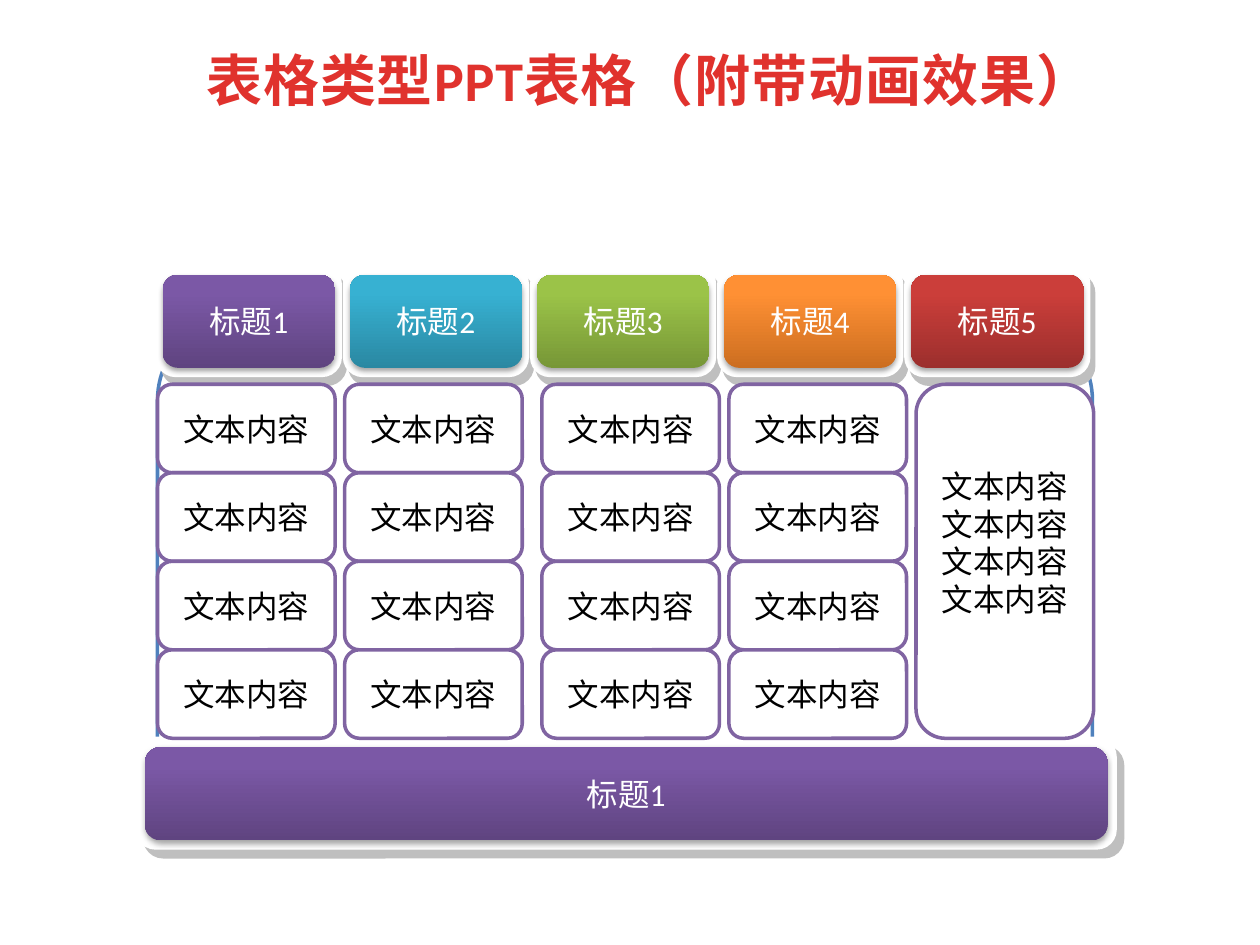
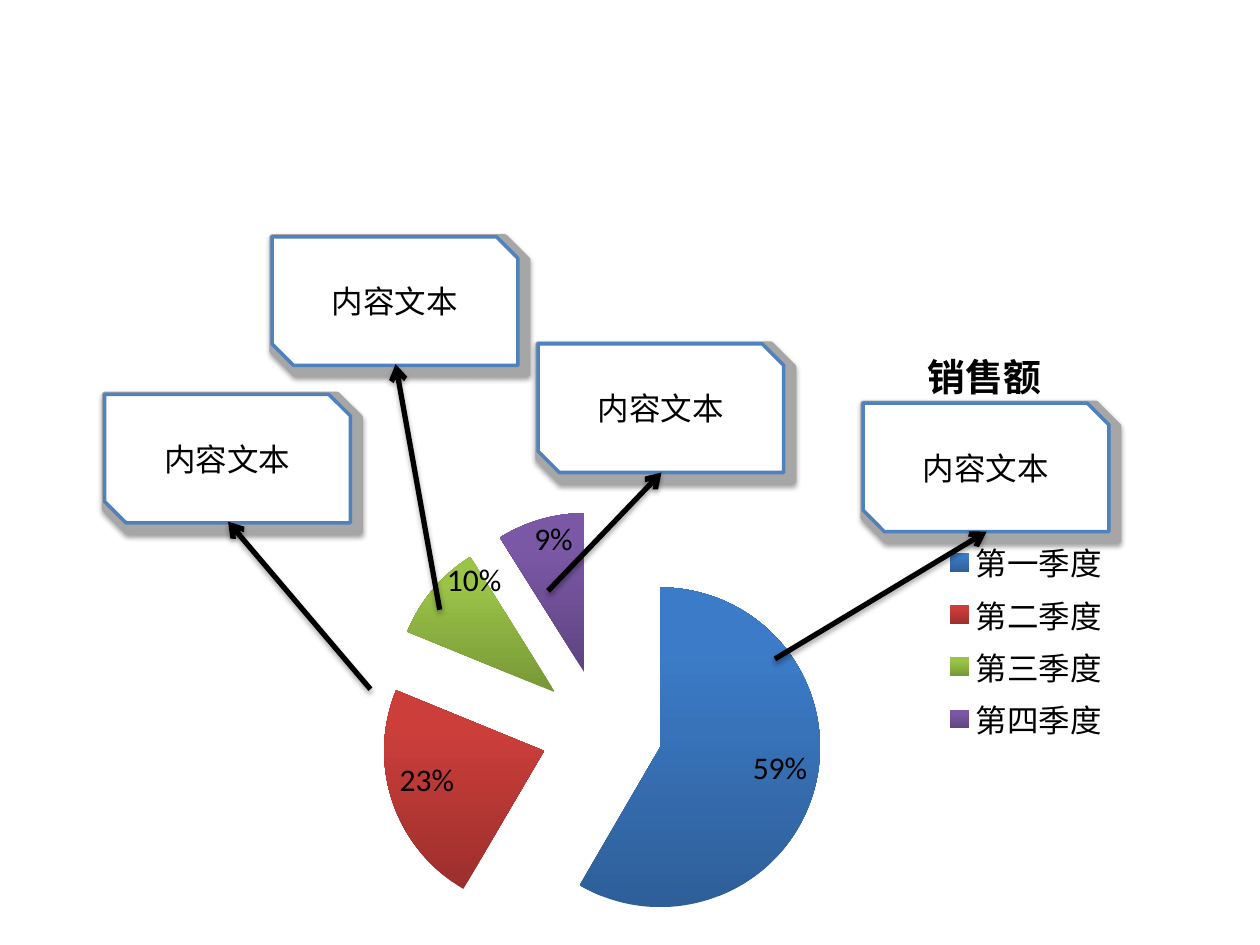
from copy import deepcopy

from lxml import etree
from pptx import Presentation
from pptx import util as u
from pptx.chart.data import CategoryChartData
from pptx.dml.color import RGBColor
from pptx.enum import chart as charts, shapes, text
from pptx.oxml import parse_xml
from pptx.oxml.ns import nsdecls, qn

FONT = "Calibri"
BODY_SIZE = u.Pt(18)

WHITE = RGBColor(0xFF, 0xFF, 0xFF)
BLACK = RGBColor(0, 0, 0)
TITLE_RED = RGBColor(0xE0, 0x32, 0x2D)
RIM_GREY = RGBColor(0xBF, 0xBF, 0xBF)
BACK_GREY = RGBColor(0xA6, 0xA6, 0xA6)
BLUE_LINE = RGBColor(0x4F, 0x81, 0xBD)
PURPLE_LINE = RGBColor(0x80, 0x64, 0xA2)

# Gradients: dark at the bottom, light at the top
BLUE = (RGBColor(0x2E, 0x5F, 0x99), RGBColor(0x3C, 0x7B, 0xC7))
RED = (RGBColor(0x9C, 0x2F, 0x2D), RGBColor(0xCB, 0x3E, 0x3A))
GREEN = (RGBColor(0x77, 0x97, 0x37), RGBColor(0x9B, 0xC3, 0x48))
PURPLE = (RGBColor(0x5F, 0x44, 0x80), RGBColor(0x7B, 0x58, 0xA6))
TEAL = (RGBColor(0x2A, 0x88, 0xA2), RGBColor(0x37, 0xB1, 0xD2))
ORANGE = (RGBColor(0xCC, 0x6E, 0x20), RGBColor(0xFF, 0x90, 0x34))

ROUND = shapes.MSO_SHAPE.ROUNDED_RECTANGLE
SNIPPED = shapes.MSO_SHAPE.SNIP_2_DIAG_RECTANGLE

TABLE_LEFT, TABLE_TOP = 1.25, 3.05
COLUMN_PITCH = 5.94 / 4
ROW_COUNT = 4
ROW_HEIGHT = 2.81 / ROW_COUNT
CELL_WIDTH = 1.41
HEADER_TOP, HEADER_HEIGHT = 2.18, 0.74


def fill_gradient(fill, colours):
    fill.gradient()
    fill.gradient_angle = 90
    for stop, colour, position in zip(fill.gradient_stops, colours, (0, 0.8)):
        stop.color.rgb = colour
        stop.position = position


def set_shadow(shape, alpha=35, distance=1.8):
    """Give a shape or connector a soft shadow straight below it."""
    properties = shape._element.spPr
    for old in properties.findall(qn("a:effectLst")):
        properties.remove(old)
    properties.append(parse_xml(
        f'<a:effectLst {nsdecls("a")}>'
        f'<a:outerShdw blurRad="{u.Pt(3.1)}" dist="{u.Pt(distance)}" dir="5400000" rotWithShape="0">'
        f'<a:srgbClr val="000000"><a:alpha val="{alpha * 1000}"/></a:srgbClr>'
        '</a:outerShdw></a:effectLst>'))


def add_box(parent, kind, left, top, width, height, fill=WHITE, line=None, line_width=2):
    """Add a preset shape; a pair of colours as fill makes a gradient."""
    box = parent.add_shape(kind, *map(u.Inches, (left, top, width, height)))
    box.shadow.inherit = False
    if isinstance(fill, RGBColor):
        box.fill.solid()
        box.fill.fore_color.rgb = fill
    else:
        fill_gradient(box.fill, fill)
    if line is None:
        box.line.fill.background()
    else:
        box.line.color.rgb = line
        box.line.width = u.Pt(line_width)
    return box


def style_span(span, size, colour, bold=False):
    span.font.name = FONT
    span.font.size = size
    span.font.color.rgb = colour
    span.font.bold = bold


def write(box, words, colour=BLACK):
    frame = box.text_frame
    frame.word_wrap = True
    frame.vertical_anchor = text.MSO_ANCHOR.MIDDLE
    frame.text = words
    for para in frame.paragraphs:
        para.alignment = text.PP_ALIGN.CENTER
        for span in para.runs:
            style_span(span, BODY_SIZE, colour)


def add_title(slide, words):
    title = slide.shapes.title
    title.left, title.top, title.width, title.height = map(u.Inches, (0.7, 0.31, 8.91, 0.64))
    title.text_frame.text = words
    para = title.text_frame.paragraphs[0]
    para.alignment = text.PP_ALIGN.CENTER
    span = para.runs[0]
    style_span(span, u.Pt(32), TITLE_RED, bold=True)
    span.font._element.set("spc", "50")


def add_button(slide, words, colours, left, top, width, rim=0.04):
    """Add a gradient button on a white plate with a grey edge behind it."""
    group = slide.shapes.add_group_shape().shapes
    plate = (width + 2 * rim, HEADER_HEIGHT + 0.13)
    add_box(group, ROUND, left, top, *plate, fill=RIM_GREY, line=RIM_GREY)
    add_box(group, ROUND, left - rim, top - 0.07, *plate, line=WHITE)
    button = add_box(group, ROUND, left, top, width, HEADER_HEIGHT, fill=colours)
    set_shadow(button)
    write(button, words, WHITE)


def add_cell(slide, words, left, top, height):
    cell = add_box(slide.shapes, ROUND, left, top, CELL_WIDTH, height, line=PURPLE_LINE)
    write(cell, words)
    return cell


def add_callout(slide, words, left, top):
    group = slide.shapes.add_group_shape().shapes
    back = add_box(group, SNIPPED, left, top, 2.03, 1.09, BACK_GREY, BACK_GREY, 3)
    set_shadow(back, alpha=38, distance=1.6)
    write(add_box(group, SNIPPED, left, top, 1.95, 1.02, line=BLUE_LINE), words)


def add_arrow(slide, start, end):
    arrow = slide.shapes.add_connector(
        shapes.MSO_CONNECTOR.STRAIGHT, *map(u.Inches, (*start, *end)))
    arrow.line.color.rgb = BLACK
    arrow.line.width = u.Pt(3)
    etree.SubElement(arrow.line._get_or_add_ln(), qn("a:tailEnd"), type="arrow")
    set_shadow(arrow)


def place_in_chart(element, index, **values):
    """Give a chart part a manual layout, inserted as child number index."""
    for old in element.findall(qn("c:layout")):
        element.remove(old)
    layout = etree.Element(qn("c:layout"))
    manual = etree.SubElement(layout, qn("c:manualLayout"))
    for name, value in values.items():
        etree.SubElement(manual, qn(f"c:{name}"), val=str(value))
    element.insert(index, layout)


def add_pie_labels(series):
    labels = series.data_labels
    labels.show_value = True
    labels.number_format = '0"%"'
    labels.number_format_is_linked = False
    labels.position = charts.XL_LABEL_POSITION.INSIDE_END
    number_format = labels._element.find(qn("c:numFmt"))
    # Move the labels of the narrow slices clear of the arrows
    for index, x, y in ((2, 0.01, -0.05), (3, -0.01, -0.01)):
        label = series.points[index].data_label
        label.position = charts.XL_LABEL_POSITION.INSIDE_END
        element = label._get_or_add_dLbl()
        place_in_chart(element, 1, x=x, y=y)
        element.insert(2, deepcopy(number_format))


def add_sales_pie(slide):
    data = CategoryChartData()
    data.categories = ["第一季度", "第二季度", "第三季度", "第四季度"]
    data.add_series("销售额", (59, 23, 10, 9))
    chart = slide.shapes.add_chart(
        charts.XL_CHART_TYPE.PIE, *map(u.Inches, (2.24, 2.51, 6.67, 5.15)), data).chart
    chart.font.name = FONT
    chart.font.size = BODY_SIZE
    chart.font.color.rgb = BLACK

    chart.has_title = True
    title = chart.chart_title
    title.text_frame.text = "销售额"
    style_span(title.text_frame.paragraphs[0].runs[0], u.Pt(21.6), BLACK, bold=True)
    place_in_chart(title._element, 1, xMode="edge", yMode="edge", x=0.76, y=0.03)

    chart.has_legend = True
    chart.legend.position = charts.XL_LEGEND_POSITION.RIGHT
    chart.legend.include_in_layout = False

    plot = chart.plots[0]
    plot.vary_by_categories = True
    plot_area = chart._chartSpace.chart.plotArea
    place_in_chart(plot_area, 0, layoutTarget="inner", xMode="edge", yMode="edge",
                   x=0.07, y=0.3, w=0.62, h=0.68)

    series = plot.series[0]
    for index, colours in enumerate((BLUE, RED, GREEN, PURPLE)):
        fill_gradient(series.points[index].format.fill, colours)
    explosion = etree.Element(qn("c:explosion"), val="38")
    series._element.find(qn("c:tx")).addnext(explosion)
    add_pie_labels(series)


def build_table_slide(deck):
    slide = deck.slides.add_slide(deck.slide_layouts[5])
    add_title(slide, "表格类型PPT表格（附带动画效果）")
    add_box(slide.shapes, ROUND, TABLE_LEFT, 2.5, 7.42, 4.06, line=BLUE_LINE)

    for column, colours in enumerate((PURPLE, TEAL, GREEN, ORANGE, RED)):
        left = TABLE_LEFT + 0.04 + column * COLUMN_PITCH
        add_button(slide, f"标题{column + 1}", colours, left, HEADER_TOP, 1.37)
    add_button(slide, "标题1", PURPLE, 1.15, 5.93, 7.64, rim=0.06)

    # The last three columns stand a little further right
    lefts = [TABLE_LEFT + column * COLUMN_PITCH + (0.08 if column > 1 else 0)
             for column in range(5)]
    for left in lefts[:-1]:
        for row in range(ROW_COUNT):
            add_cell(slide, "文本内容", left, TABLE_TOP + row * ROW_HEIGHT, ROW_HEIGHT)
    tall = add_cell(slide, "文本内容文本内容\n文本内容\n文本内容",
                    lefts[-1], TABLE_TOP, ROW_COUNT * ROW_HEIGHT)
    tall.text_frame.margin_bottom = u.Inches(0.35)


def build_pie_slide(deck):
    slide = deck.slides.add_slide(deck.slide_layouts[6])
    add_sales_pie(slide)
    for left, top in ((0.83, 3.13), (2.16, 1.88), (4.27, 2.73), (6.85, 3.2)):
        add_callout(slide, "内容文本", left, top)
    for start, end in (((2.94, 5.47), (1.81, 4.14)), ((3.49, 4.84), (3.14, 2.89)),
                       ((4.35, 4.69), (5.25, 3.75)), ((6.15, 5.23), (7.83, 4.22))):
        add_arrow(slide, start, end)


def main():
    deck = Presentation()
    deck.slide_width, deck.slide_height = u.Inches(10), u.Inches(7.5)
    build_table_slide(deck)
    build_pie_slide(deck)
    deck.save("out.pptx")


if __name__ == "__main__":
    main()
